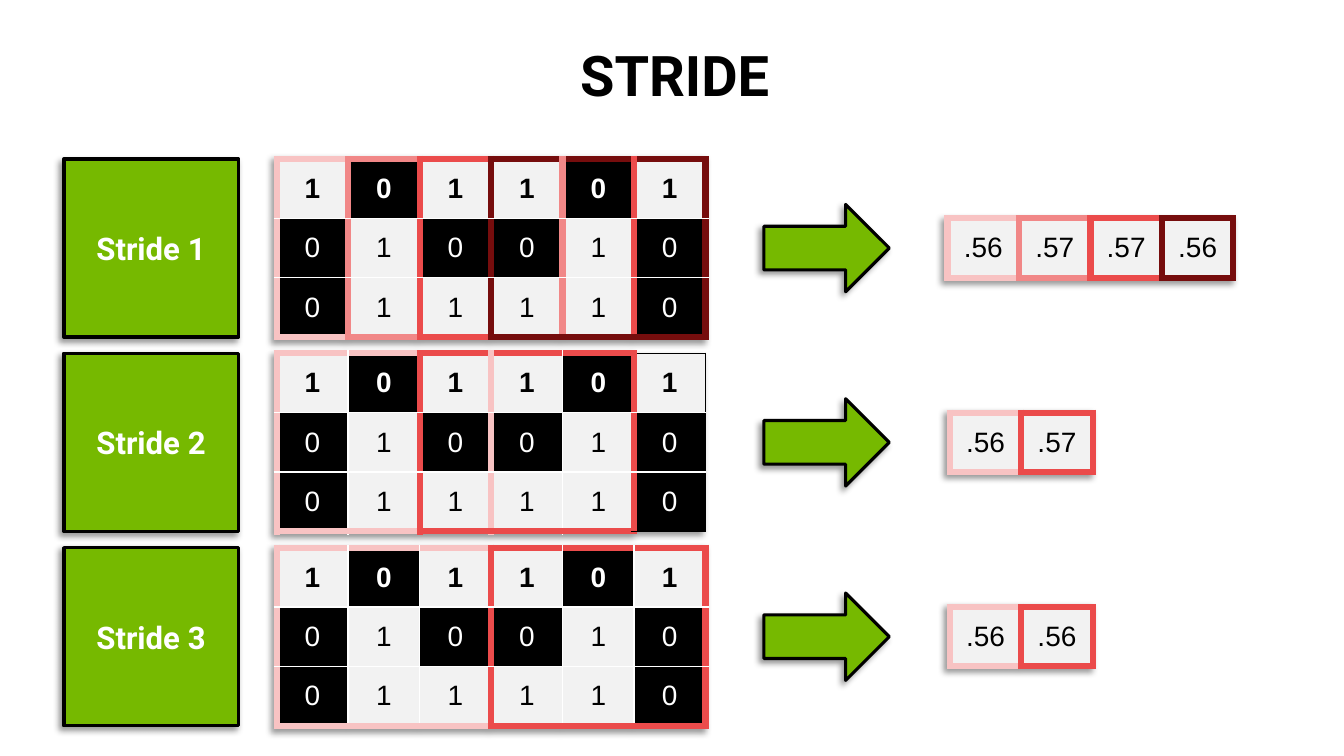
from dataclasses import dataclass

from lxml import etree
from pptx import Presentation
from pptx.dml.color import RGBColor
from pptx.enum.shapes import MSO_SHAPE
from pptx.enum.text import MSO_ANCHOR, MSO_AUTO_SIZE, PP_ALIGN
from pptx.oxml.ns import qn
from pptx.util import Inches, Pt

RECTANGLE = MSO_SHAPE.RECTANGLE
RIGHT_ARROW = MSO_SHAPE.RIGHT_ARROW
MIDDLE = MSO_ANCHOR.MIDDLE
BOTTOM = MSO_ANCHOR.BOTTOM
CENTER = PP_ALIGN.CENTER
NO_AUTOFIT = MSO_AUTO_SIZE.NONE

BLACK = RGBColor(0x00, 0x00, 0x00)
WHITE = RGBColor(0xFF, 0xFF, 0xFF)
GREEN = RGBColor(0x76, 0xB9, 0x00)
LIGHT_GRAY = RGBColor(0xF2, 0xF2, 0xF2)
PINK = RGBColor(0xF8, 0xC3, 0xC3)
ROSE = RGBColor(0xF1, 0x87, 0x87)
RED = RGBColor(0xEB, 0x4B, 0x4B)
MAROON = RGBColor(0x76, 0x0D, 0x0D)

BORDERS = {
    "P": (PINK, 4.5),
    "R": (ROSE, 4.5),
    "E": (RED, 4.5),
    "M": (MAROON, 4.5),
    "W": (WHITE, 1),
    "K": (BLACK, 1),
}

SLIDE_WIDTH, SLIDE_HEIGHT = Inches(12), Inches(6.75)
GRID_COLUMNS, GRID_ROWS = 48, 27
CELL_WIDTH, CELL_HEIGHT = 15.32 / 6, 2.12
FIRST_TOP, PITCH = 5.68, 6.94
LABEL_LEFT, MATRIX_LEFT, ARROW_LEFT = 2.28, 9.88, 27.28

IMAGE = ["101101", "010010", "011110"]


@dataclass(frozen=True)
class Area:
    left: float
    top: float
    width: float
    height: float

    def lengths(self) -> list[int]:
        return [
            round(self.left * SLIDE_WIDTH / GRID_COLUMNS),
            round(self.top * SLIDE_HEIGHT / GRID_ROWS),
            round(self.width * SLIDE_WIDTH / GRID_COLUMNS),
            round(self.height * SLIDE_HEIGHT / GRID_ROWS),
        ]


@dataclass(frozen=True)
class Frame:
    verticals: str
    horizontals: str


@dataclass(frozen=True)
class Stride:
    label: str
    matrix_frame: Frame
    results: list[str]
    result_frame: Frame
    result_left: float


STRIDES = [
    Stride("Stride 1", Frame("PREMREM", "PREMMM"),
           [".56", ".57", ".57", ".56"], Frame("PREMM", "PREM"), 33.84),
    Stride("Stride 2", Frame("PWEPWEK", "PPEEEK"),
           [".56", ".57"], Frame("PEE", "PE"), 33.92),
    Stride("Stride 3", Frame("PWWEWWE", "PPPEEE"),
           [".56", ".56"], Frame("PEE", "PE"), 33.92),
]


def add_text(text_frame, text: str, font_name: str, size: int,
             color: RGBColor, bold: bool):
    paragraph = text_frame.paragraphs[0]
    paragraph.alignment = CENTER
    run = paragraph.add_run()
    run.text = text
    run.font.name = font_name
    run.font.size = Pt(size)
    run.font.color.rgb = color
    run.font.bold = bold
    return paragraph


def add_shadow(effects) -> None:
    shadow = etree.SubElement(
        effects, qn("a:outerShdw"), blurRad=str(Pt(4)), dist=str(Pt(3)),
        dir=str(135 * 60000), algn="tr", rotWithShape="0")
    color = etree.SubElement(shadow, qn("a:srgbClr"), val=str(BLACK))
    etree.SubElement(color, qn("a:alpha"), val="40000")


def add_green_shape(slide, kind: MSO_SHAPE, area: Area, line_width: float):
    shape = slide.shapes.add_shape(kind, *area.lengths())
    shape.fill.solid()
    shape.fill.fore_color.rgb = GREEN
    shape.line.color.rgb = BLACK
    shape.line.width = Pt(line_width)
    shape.shadow.inherit = False
    add_shadow(shape.element.spPr.find(qn("a:effectLst")))
    return shape


def add_border(cell, side: str, code: str) -> None:
    color, width = BORDERS[code]
    line = etree.SubElement(
        cell._tc.get_or_add_tcPr(), qn(f"a:ln{side}"), w=str(Pt(width)))
    fill = etree.SubElement(line, qn("a:solidFill"))
    etree.SubElement(fill, qn("a:srgbClr"), val=str(color))


def add_grid(slide, left: float, top: float, rows: list, frame: Frame,
             bold_first: bool) -> None:
    row_count, column_count = len(rows), len(rows[0])
    area = Area(left, top, column_count * CELL_WIDTH, row_count * CELL_HEIGHT)
    table = slide.shapes.add_table(
        row_count, column_count, *area.lengths()).table
    table.first_row = False
    table.horz_banding = False
    effects = etree.Element(qn("a:effectLst"))
    table._tbl.tblPr.insert(0, effects)
    add_shadow(effects)
    for row, values in enumerate(rows):
        for column, value in enumerate(values):
            cell = table.cell(row, column)
            outer = frame.horizontals[column]
            add_border(cell, "L", frame.verticals[column])
            add_border(cell, "R", frame.verticals[column + 1])
            add_border(cell, "T", outer if row == 0 else "W")
            add_border(cell, "B", outer if row == row_count - 1 else "W")
            dark = value == "0"
            cell.fill.solid()
            cell.fill.fore_color.rgb = BLACK if dark else LIGHT_GRAY
            cell.vertical_anchor = MIDDLE
            add_text(cell.text_frame, value, "Arial", 18,
                     WHITE if dark else BLACK, bold_first and row == 0)


def add_stride(slide, stride: Stride, top: float) -> None:
    label = add_green_shape(
        slide, RECTANGLE, Area(LABEL_LEFT, top, 6.24, 3 * CELL_HEIGHT), 2.25)
    label.text_frame.word_wrap = True
    label.text_frame.vertical_anchor = MIDDLE
    add_text(label.text_frame, stride.label, "Roboto", 20, WHITE, True)
    add_grid(slide, MATRIX_LEFT, top, IMAGE, stride.matrix_frame, True)
    add_green_shape(
        slide, RIGHT_ARROW, Area(ARROW_LEFT, top + 1.62, 4.48, 3.12), 2)
    add_grid(slide, stride.result_left, top + CELL_HEIGHT,
             [stride.results], stride.result_frame, False)


def add_title(slide) -> None:
    title = slide.shapes.title
    area = Area(2.28, 1.48, 43.64, 2.6)
    title.left, title.top, title.width, title.height = area.lengths()
    title.text_frame.auto_size = NO_AUTOFIT
    title.text_frame.vertical_anchor = BOTTOM
    paragraph = add_text(title.text_frame, "STRIDE", "Roboto", 36, BLACK, True)
    paragraph.line_spacing = 0.9


def main() -> None:
    presentation = Presentation()
    presentation.slide_width = SLIDE_WIDTH
    presentation.slide_height = SLIDE_HEIGHT
    slide = presentation.slides.add_slide(presentation.slide_layouts[5])
    add_title(slide)
    for index, stride in enumerate(STRIDES):
        add_stride(slide, stride, FIRST_TOP + index * PITCH)
    presentation.save("out.pptx")


if __name__ == "__main__":
    main()
